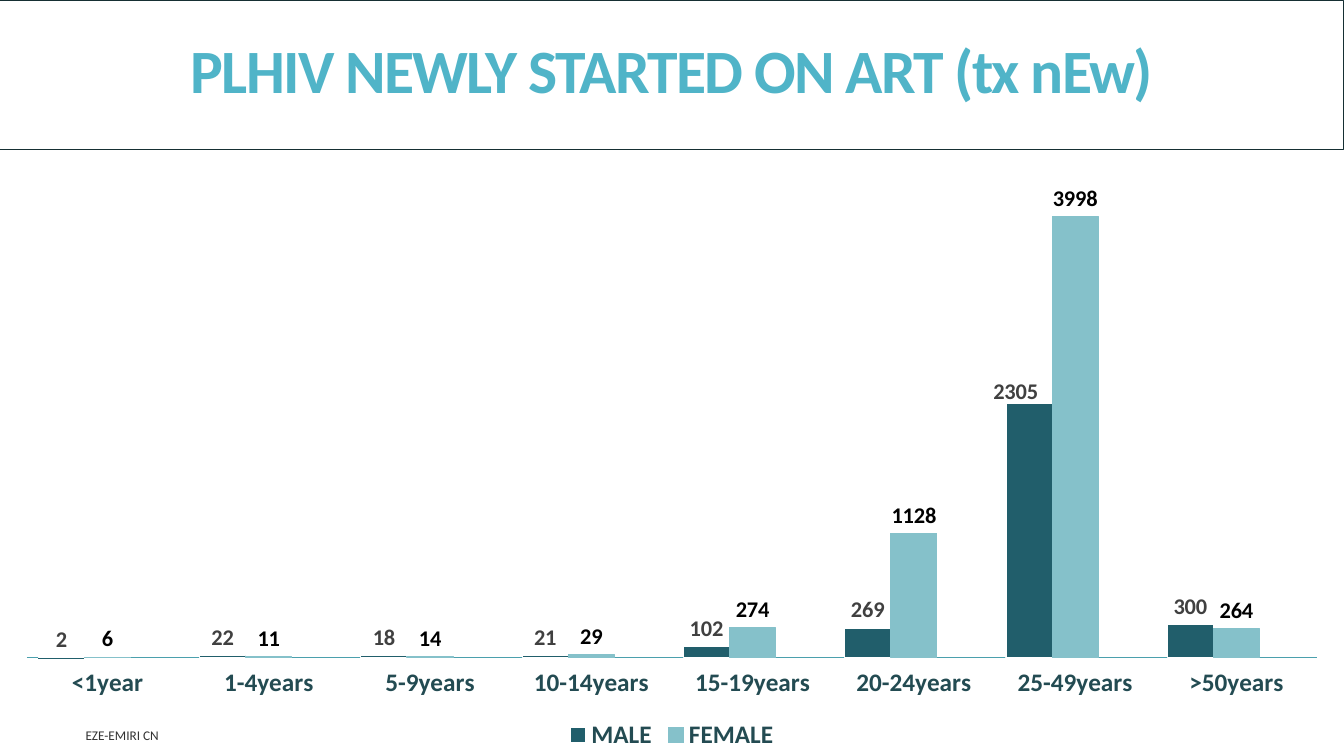
from dataclasses import dataclass

from lxml import etree
from pptx import Presentation
from pptx.chart.data import CategoryChartData
from pptx.dml.color import RGBColor
from pptx.enum.chart import (XL_CHART_TYPE, XL_LABEL_POSITION,
                             XL_LEGEND_POSITION, XL_TICK_LABEL_POSITION, XL_TICK_MARK)
from pptx.enum.shapes import MSO_SHAPE
from pptx.enum.text import MSO_ANCHOR, PP_ALIGN
from pptx.oxml.ns import qn
from pptx.util import Inches, Pt

COLUMNS = XL_CHART_TYPE.COLUMN_CLUSTERED
OUTSIDE = XL_LABEL_POSITION.OUTSIDE_END
BOTTOM = XL_LEGEND_POSITION.BOTTOM
LOW = XL_TICK_LABEL_POSITION.LOW
NO_TICK = XL_TICK_MARK.NONE
RECT = MSO_SHAPE.RECTANGLE
MIDDLE = MSO_ANCHOR.MIDDLE
CENTER = PP_ALIGN.CENTER


@dataclass(frozen=True)
class Theme:
    font: str = "Calibri"
    title: str = "50B4C8"
    frame: str = "162F33"
    axis_text: str = "234B52"
    axis_line: str = "4BA0AD"
    footer: str = "333333"
    black: str = "000000"
    title_size: float = 44
    axis_size: float = 18
    label_size: float = 16
    chart_size: float = 10
    footer_size: float = 9.5


THEME = Theme()

AGES = ["<1year", "1-4years", "5-9years", "10-14years",
        "15-19years", "20-24years", "25-49years", ">50years"]
# name, values, fill, outline, label colour; the empty series spaces the groups
SERIES = [
    ("MALE", [2, 22, 18, 21, 102, 269, 2305, 300], "215E6B", "FFFFFF", "404040"),
    ("FEMALE", [6, 11, 14, 29, 274, 1128, 3998, 264], "85C1CA", "85C1CA", "000000"),
    ("Series 3", [None] * len(AGES), "9B9256", None, None),
]
MOVED_POINT = 6


def rgb(value):
    return RGBColor.from_string(value)


def style_font(font, size, color, bold=False):
    font.name = THEME.font
    font.size = Pt(size)
    font.bold = bold
    font.color.rgb = rgb(color)


def manual_layout(**values):
    """Build a c:layout element from its children's values, in order."""
    layout = etree.Element(qn("c:layout"))
    manual = etree.SubElement(layout, qn("c:manualLayout"))
    for tag, value in values.items():
        etree.SubElement(manual, qn(f"c:{tag}")).set("val", str(value))
    return layout


def add_title(s, left, top, width, height):
    sp = s.shapes.add_shape(RECT, left, top, width, height)
    sp.shadow.inherit = False
    sp.fill.background()
    sp.line.color.rgb = rgb(THEME.frame)
    sp.line.width = Pt(0.75)
    tf = sp.text_frame
    tf.word_wrap = True
    tf.vertical_anchor = MIDDLE
    tf.text = "PLHIV NEWLY STARTED ON ART (tx nEw)"
    p = tf.paragraphs[0]
    p.alignment = CENTER
    p.line_spacing = 0.85
    r = p.runs[0]
    style_font(r.font, THEME.title_size, THEME.title, True)
    r.font._element.set("spc", "-120")


def style_series(series, fill, outline, label_color):
    series.format.fill.solid()
    series.format.fill.fore_color.rgb = rgb(fill)
    if outline is None:
        return
    series.format.line.color.rgb = rgb(outline)
    series.format.line.width = Pt(0.75)
    labels = series.data_labels
    labels.show_value = True
    labels.position = OUTSIDE
    style_font(labels.font, THEME.label_size, label_color, True)


def add_art_chart(s, left, top, width, height):
    data = CategoryChartData()
    data.categories = AGES
    for name, values, *_ in SERIES:
        data.add_series(name, values)
    chart = s.shapes.add_chart(COLUMNS, left, top, width, height, data).chart
    chart.has_title = False
    style_font(chart.font, THEME.chart_size, THEME.black)

    # Columns and their labels
    plot = chart.plots[0]
    plot.gap_width = 50
    plot.overlap = 0
    plot.vary_by_categories = False
    for series, (_, _, *style) in zip(plot.series, SERIES):
        style_series(series, *style)

    # Tall male column: nudge its label to the left
    male = plot.series[0]
    label = male.points[MOVED_POINT].data_label
    style_font(label.font, THEME.label_size, SERIES[0][4], True)
    label.position = OUTSIDE
    idx = male._element.find(f".//{qn('c:dLbl')}/{qn('c:idx')}")
    idx.addnext(manual_layout(x=-0.01, y=0.01))

    # Axes
    axis = chart.category_axis
    axis.major_tick_mark = axis.minor_tick_mark = NO_TICK
    axis.tick_label_position = LOW
    axis.format.line.color.rgb = rgb(THEME.axis_line)
    axis.format.line.width = Pt(0.75)
    style_font(axis.tick_labels.font, THEME.axis_size, THEME.axis_text, True)
    values = chart.value_axis
    values.minimum_scale, values.maximum_scale = 0, 4500
    values.has_major_gridlines = False
    values.visible = False

    # Legend without the empty series
    chart.has_legend = True
    legend = chart.legend
    legend.position = BOTTOM
    legend.include_in_layout = False
    style_font(legend.font, THEME.axis_size, THEME.axis_text, True)
    entry = etree.Element(qn("c:legendEntry"))
    etree.SubElement(entry, qn("c:idx")).set("val", "2")
    etree.SubElement(entry, qn("c:delete")).set("val", "1")
    legend._element.find(qn("c:legendPos")).addnext(entry)

    # Plot area
    area = chart._chartSpace.find(f".//{qn('c:plotArea')}")
    for old in area.findall(qn("c:layout")):
        area.remove(old)
    area.insert(0, manual_layout(layoutTarget="inner", xMode="edge", yMode="edge",
                                 x=0.02, y=0.02, w=0.96, h=0.82))


def add_footer(s, left, top, width, height):
    tf = s.shapes.add_textbox(left, top, width, height).text_frame
    tf.word_wrap = True
    tf.vertical_anchor = MIDDLE
    tf.text = "EZE-EMIRI CN"
    style_font(tf.paragraphs[0].runs[0].font, THEME.footer_size, THEME.footer)


def main():
    prs = Presentation()
    prs.slide_width, prs.slide_height = Inches(13.33), Inches(7.5)
    s = prs.slides.add_slide(prs.slide_layouts[6])
    add_title(s, 0, Inches(0.01), prs.slide_width, Inches(1.47))
    add_art_chart(s, 0, Inches(1.48), prs.slide_width, Inches(6.01))
    add_footer(s, Inches(0.75), Inches(7.17), Inches(5.5), Inches(0.25))
    prs.save("out.pptx")


if __name__ == "__main__":
    main()
